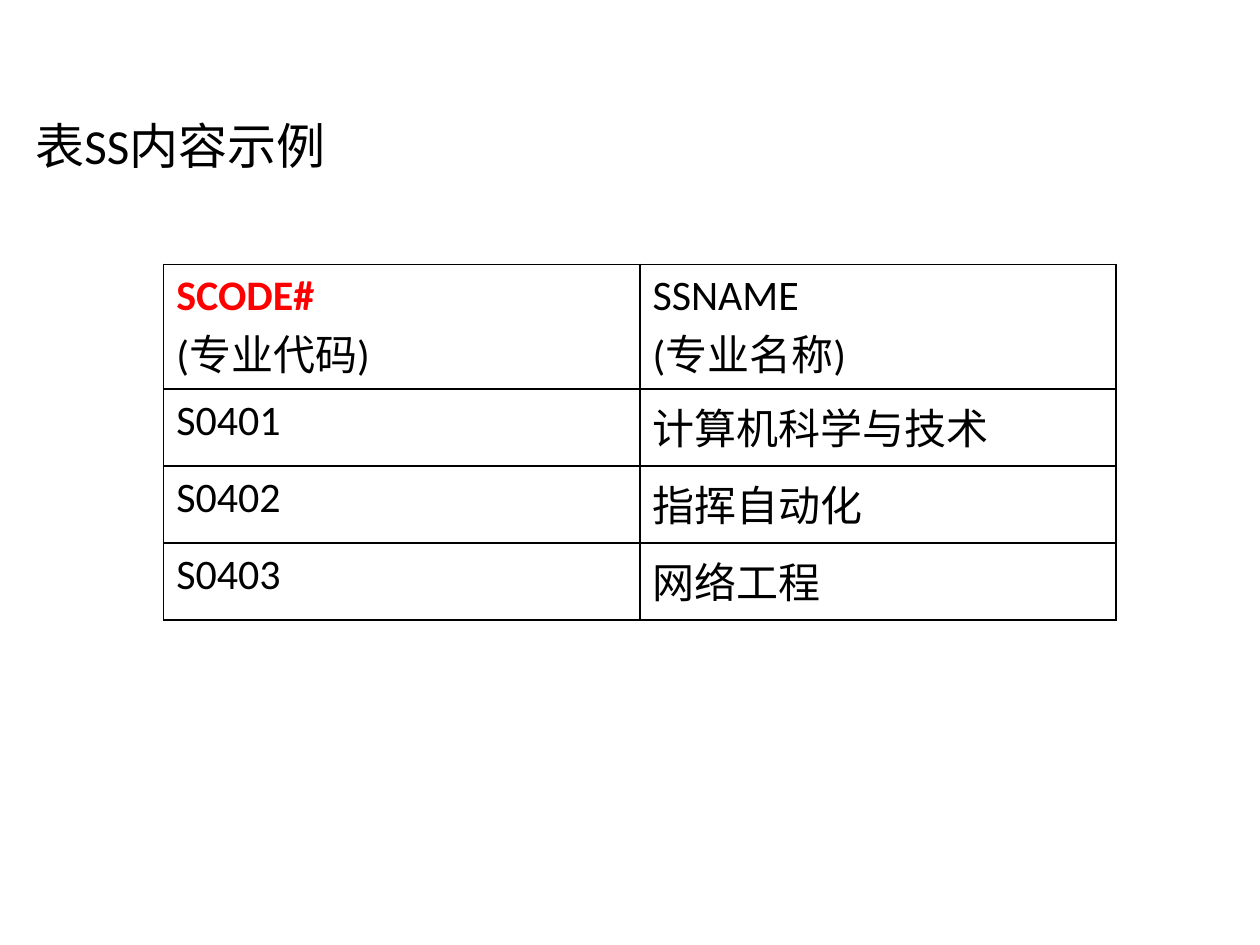
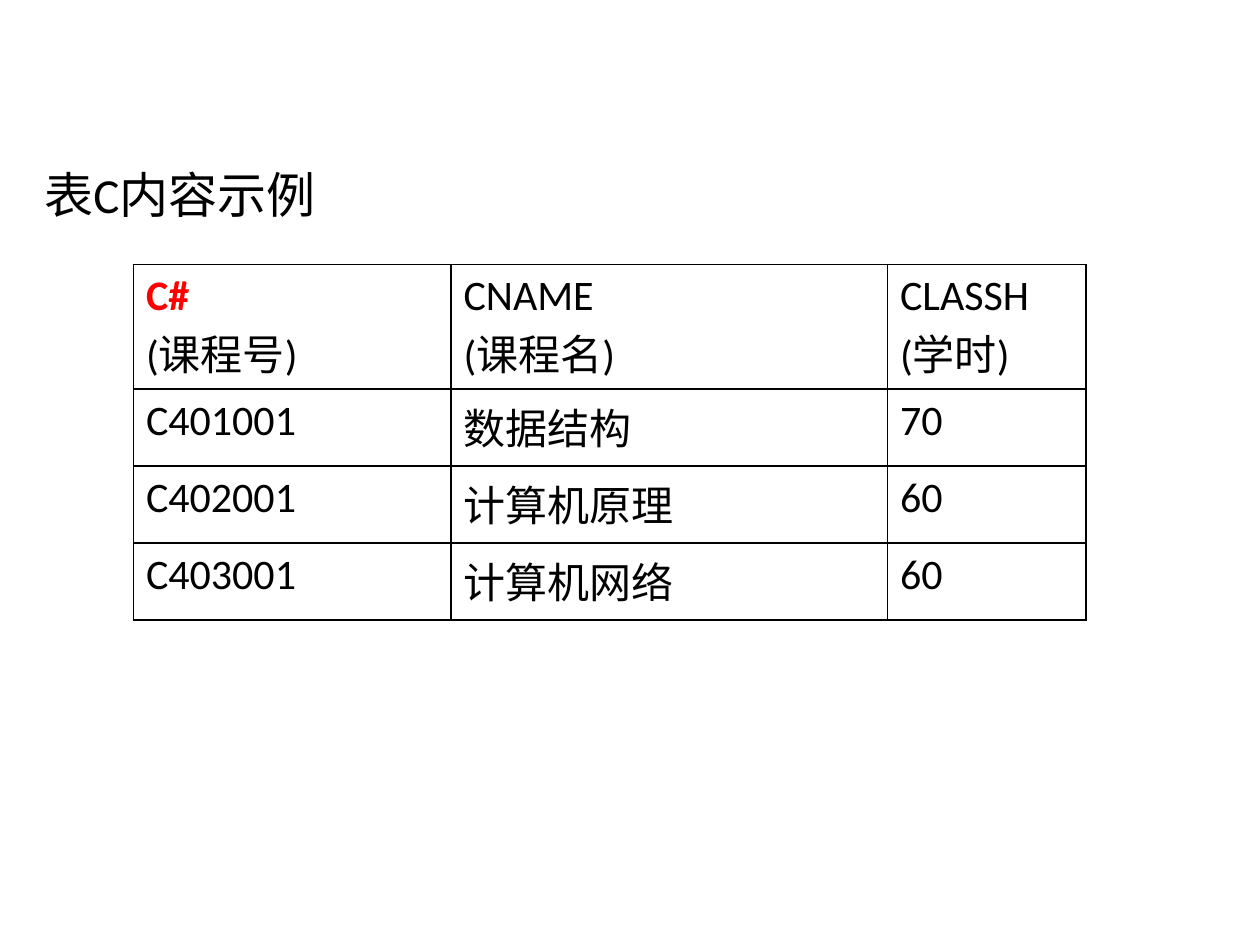
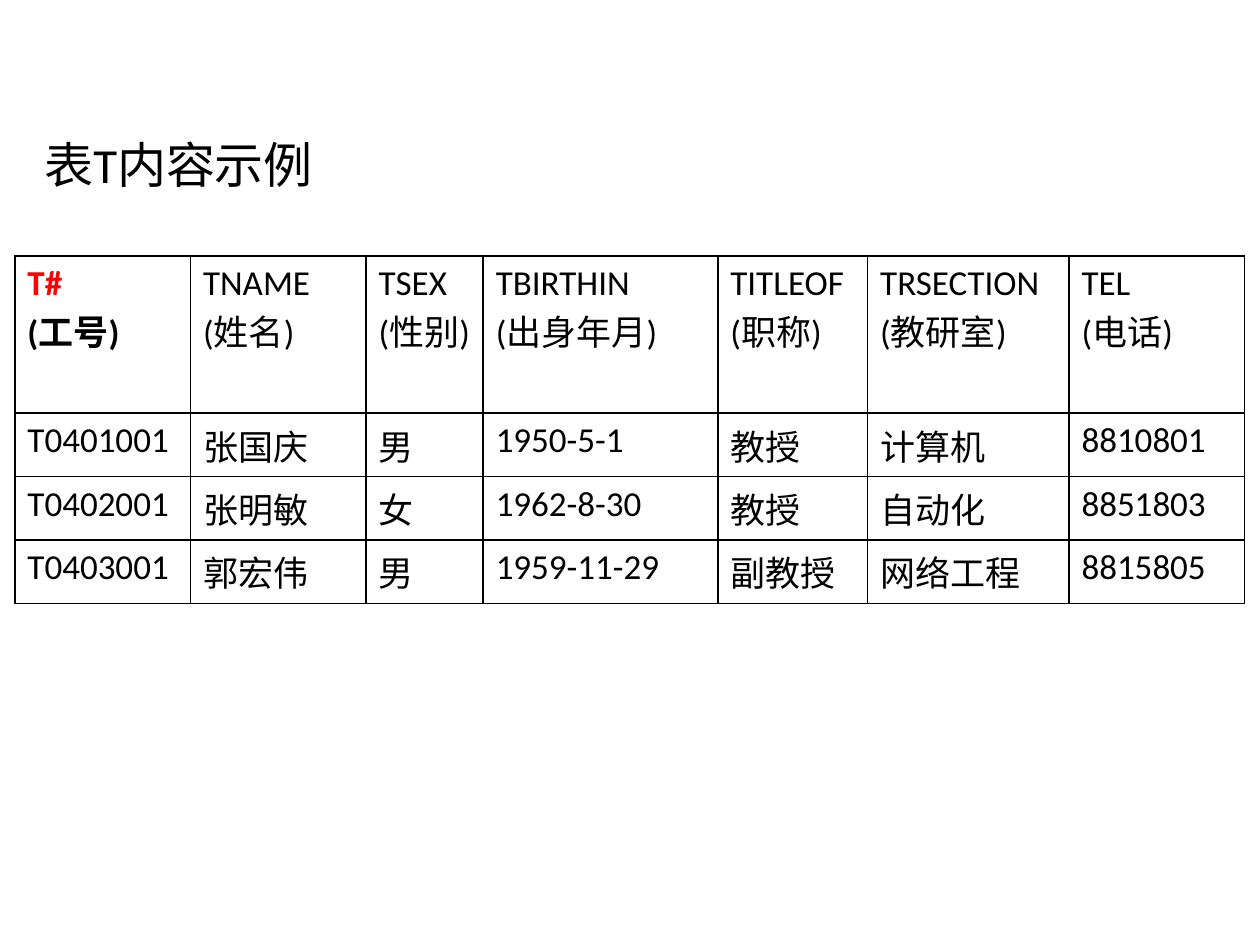
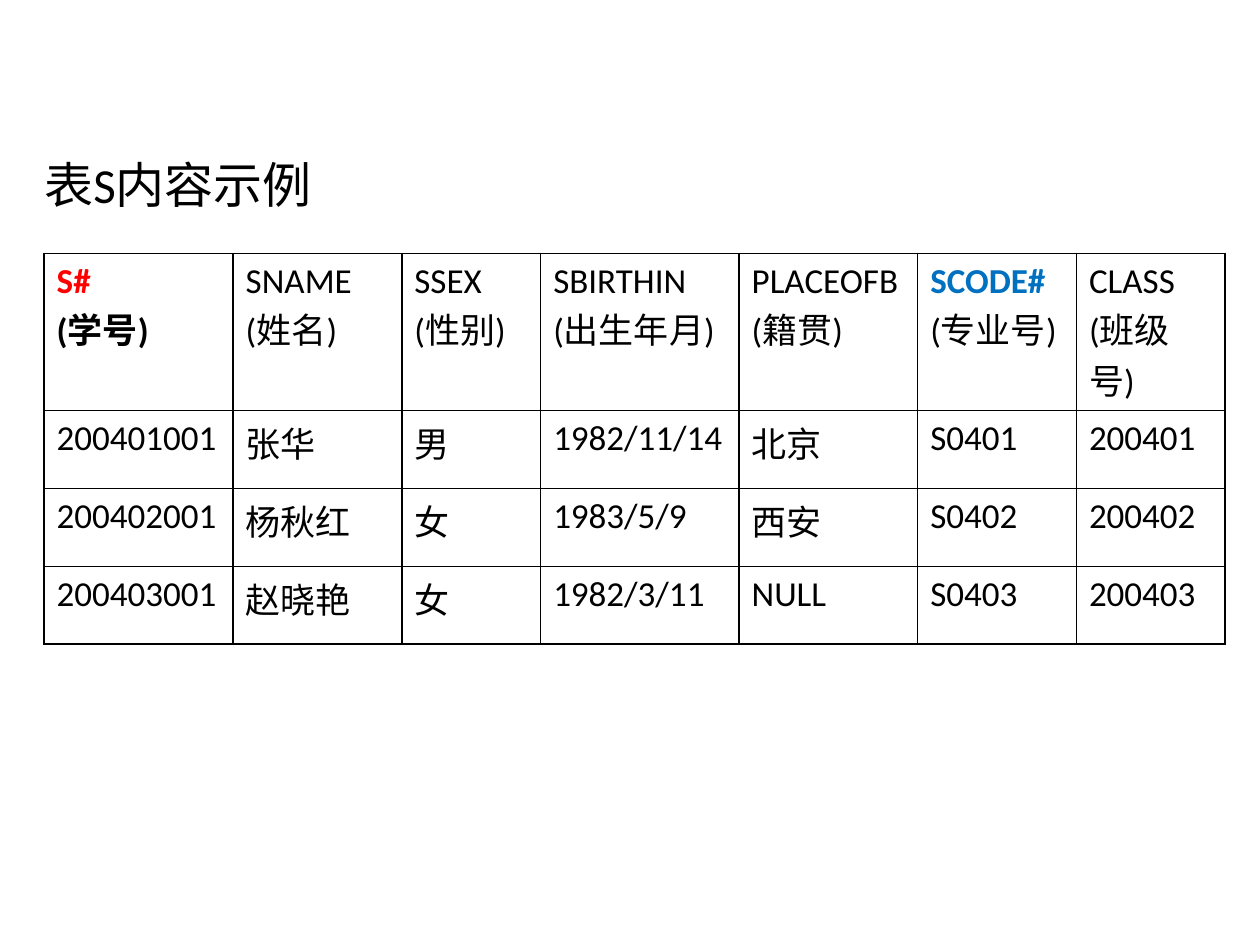
from dataclasses import dataclass

from lxml import etree
from pptx import Presentation
from pptx.dml.color import RGBColor
from pptx.enum.text import MSO_ANCHOR, MSO_AUTO_SIZE, PP_ALIGN
from pptx.oxml.ns import qn
from pptx.util import Cm, Pt

TOP = MSO_ANCHOR.TOP
LEFT = PP_ALIGN.LEFT
NO_FIT = MSO_AUTO_SIZE.NONE
TITLE_ONLY = 5


@dataclass(frozen=True)
class Theme:
    font: str = "Calibri"
    text: RGBColor = RGBColor(0x00, 0x00, 0x00)
    primary_key: RGBColor = RGBColor(0xFF, 0x00, 0x00)
    foreign_key: RGBColor = RGBColor(0x00, 0x70, 0xC0)
    title_size: int = 28
    large_size: int = 24
    small_size: int = 20
    border_width: int = 1


THEME = Theme()


@dataclass(frozen=True)
class Column:
    name: str
    label: str
    width: float
    key_color: RGBColor = None
    bold_label: bool = False


@dataclass(frozen=True)
class Example:
    title: str
    title_at: tuple
    table_at: tuple
    table_height: float
    row_height: float
    size: int
    columns: list
    rows: list


EXAMPLES = [
    Example(
        "表SS内容示例", (0.46, 2.34), (3.3, 5.33), 6.96, 1.55, THEME.large_size,
        [Column("SCODE#", "(专业代码)", 9.6, THEME.primary_key),
         Column("SSNAME", "(专业名称)", 9.6)],
        [("S0401", "计算机科学与技术"),
         ("S0402", "指挥自动化"),
         ("S0403", "网络工程")]),
    Example(
        "表C内容示例", (0.64, 3.33), (2.69, 5.33), 6.96, 1.55, THEME.large_size,
        [Column("C#", "(课程号)", 6.4, THEME.primary_key),
         Column("CNAME", "(课程名)", 8.8),
         Column("CLASSH", "(学时)", 4)],
        [("C401001", "数据结构", "70"),
         ("C402001", "计算机原理", "60"),
         ("C403001", "计算机网络", "60")]),
    Example(
        "表T内容示例", (0.64, 2.72), (0.3, 5.16), 5.66, 1.25, THEME.small_size,
        [Column("T#", "(工号)", 3.54, THEME.primary_key, True),
         Column("TNAME", "(姓名)", 3.54),
         Column("TSEX", "(性别)", 2.36),
         Column("TBIRTHIN", "(出身年月)", 4.73),
         Column("TITLEOF", "(职称)", 3.02),
         Column("TRSECTION", "(教研室)", 4.06),
         Column("TEL", "(电话)", 3.54)],
        [("T0401001", "张国庆", "男", "1950-5-1", "教授", "计算机", "8810801"),
         ("T0402001", "张明敏", "女", "1962-8-30", "教授", "自动化", "8851803"),
         ("T0403001", "郭宏伟", "男", "1959-11-29", "副教授", "网络工程", "8815805")]),
    Example(
        "表S内容示例", (0.64, 3.12), (0.89, 5.11), 6.68, 1.57, THEME.small_size,
        [Column("S#", "(学号)", 3.81, THEME.primary_key, True),
         Column("SNAME", "(姓名)", 3.4),
         Column("SSEX", "(性别)", 2.8),
         Column("SBIRTHIN", "(出生年月)", 4),
         Column("PLACEOFB", "(籍贯)", 3.6),
         Column("SCODE#", "(专业号)", 3.2, THEME.foreign_key),
         Column("CLASS", "(班级号)", 3)],
        [("200401001", "张华", "男", "1982/11/14", "北京", "S0401", "200401"),
         ("200402001", "杨秋红", "女", "1983/5/9", "西安", "S0402", "200402"),
         ("200403001", "赵晓艳", "女", "1982/3/11", "NULL", "S0403", "200403")]),
]


def add_run(p, text, size, color=THEME.text, bold=False):
    r = p.add_run()
    r.text = text
    r.font.name = THEME.font
    r.font.size = Pt(size)
    r.font.bold = bold
    r.font.color.rgb = color


def set_title(slide, text, left, top):
    sp = slide.shapes.title
    sp.left, sp.top, sp.width, sp.height = Cm(left), Cm(top), Cm(24.77), Cm(16.41)
    tf = sp.text_frame
    tf.word_wrap = True
    tf.auto_size = NO_FIT
    tf.vertical_anchor = TOP
    p = tf.paragraphs[0]
    p.alignment = LEFT
    p.line_spacing = 0.9
    p.space_before = Pt(0)
    pPr = p._p.get_or_add_pPr()
    pPr.set("marL", str(Cm(0.95)))
    pPr.set("indent", str(-Cm(0.95)))
    add_run(p, text, THEME.title_size)


def set_borders(cell):
    tcPr = cell._tc.get_or_add_tcPr()
    for side in ("lnL", "lnR", "lnT", "lnB"):
        ln = etree.SubElement(tcPr, qn(f"a:{side}"), w=str(Pt(THEME.border_width)))
        fill = etree.SubElement(ln, qn("a:solidFill"))
        etree.SubElement(fill, qn("a:srgbClr"), val=str(THEME.text))


def fill_header(cell, column, size):
    tf = cell.text_frame
    add_run(tf.paragraphs[0], column.name, size,
            column.key_color or THEME.text, column.key_color is not None)
    add_run(tf.add_paragraph(), column.label, size, bold=column.bold_label)


def add_data_table(slide, example):
    left, top = example.table_at
    width = sum(column.width for column in example.columns)
    frame = slide.shapes.add_table(
        len(example.rows) + 1, len(example.columns),
        Cm(left), Cm(top), Cm(width), Cm(example.table_height))
    table = frame.table
    table.first_row = False
    table.horz_banding = False
    for row in table.rows:
        row.height = Cm(example.row_height)
    frame.height = Cm(example.table_height)
    for i, column in enumerate(example.columns):
        table.columns[i].width = Cm(column.width)
        fill_header(table.cell(0, i), column, example.size)
    for i, values in enumerate(example.rows, start=1):
        for j, value in enumerate(values):
            add_run(table.cell(i, j).text_frame.paragraphs[0], value, example.size)
    for cell in table.iter_cells():
        set_borders(cell)
        cell.fill.background()


def main():
    prs = Presentation()
    prs.slide_width, prs.slide_height = Cm(25.4), Cm(19.05)
    for example in EXAMPLES:
        slide = prs.slides.add_slide(prs.slide_layouts[TITLE_ONLY])
        set_title(slide, example.title, *example.title_at)
        add_data_table(slide, example)
    prs.save("out.pptx")


if __name__ == "__main__":
    main()
